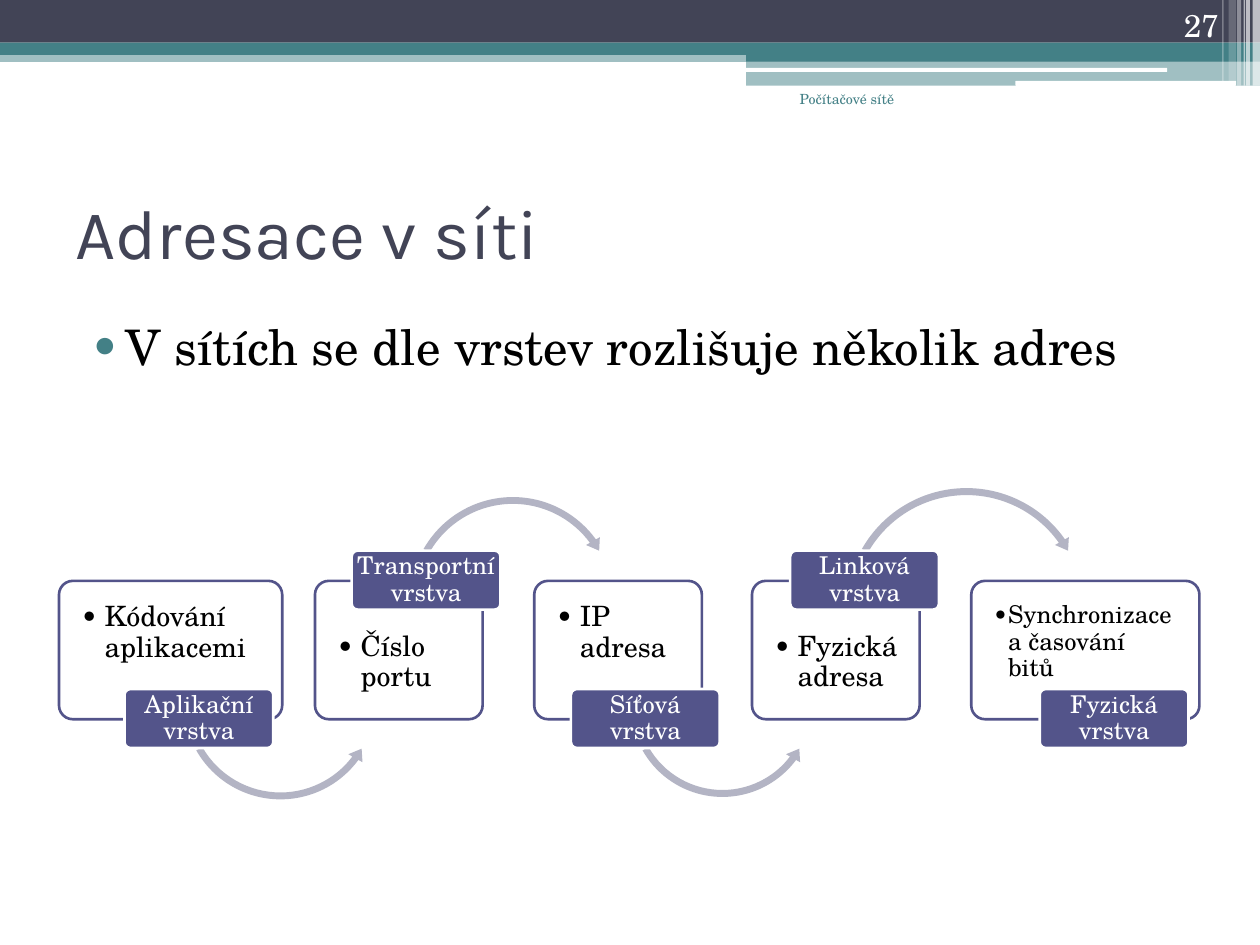
"""Build the slide on network addressing by layer."""
import lxml.etree
import pptx
import pptx.dml.color
import pptx.enum.shapes
import pptx.enum.text
import pptx.oxml.ns
import pptx.util

Cm = pptx.util.Cm
SHAPE = pptx.enum.shapes.MSO_SHAPE
ALIGN = pptx.enum.text.PP_ALIGN
ANCHOR = pptx.enum.text.MSO_ANCHOR
rgb = pptx.dml.color.RGBColor.from_string
qn = pptx.oxml.ns.qn
SERIF = "TeX Gyre Schola"
DARK, TEAL, WHITE, INDIGO, GREY = "424456", "438086", "FFFFFF", "53548A", "B3B4C4"


def add(kind, box, fill, alpha=100, line=None, adj=()):
    sp = s.shapes.add_shape(kind, *[Cm(v) for v in box])
    sp.shadow.inherit = False
    sp.fill.solid()
    sp.fill.fore_color.rgb = rgb(fill)
    if alpha < 100:
        clr = sp.fill._xPr.find(".//" + qn("a:srgbClr"))
        lxml.etree.SubElement(clr, qn("a:alpha"), val=str(alpha * 1000))
    if line:
        sp.line.color.rgb = rgb(line)
        sp.line.width = pptx.util.Pt(1.5)
    else:
        sp.line.fill.background()
    for i, value in enumerate(adj):
        sp.adjustments[i] = value
    return sp


def write(sp, text, size, color, font=SERIF, align=ALIGN.LEFT, anchor=ANCHOR.TOP,
          insets=(0.25, 0.13, 0.25, 0.13), spacing=None, before=0, indent=0, bullet=None):
    tf = sp.text_frame
    tf.word_wrap = True
    tf.vertical_anchor = anchor
    tf.margin_left, tf.margin_top, tf.margin_right, tf.margin_bottom = [Cm(v) for v in insets]
    p = tf.paragraphs[0]
    p.alignment = align
    p.space_before = pptx.util.Pt(before)
    if spacing:
        p.line_spacing = spacing
    r = p.add_run()
    r.text = text
    r.font.name = font
    r.font.size = pptx.util.Pt(size)
    r.font.color.rgb = rgb(color)
    if bullet:
        pPr = p._p.get_or_add_pPr()
        pPr.set("marL", str(Cm(indent[0])))
        pPr.set("indent", str(Cm(indent[1])))
        clr = lxml.etree.SubElement(pPr, qn("a:buClr"))
        lxml.etree.SubElement(clr, qn("a:srgbClr"), val=bullet)
        lxml.etree.SubElement(pPr, qn("a:buFont"), typeface=SERIF)
        lxml.etree.SubElement(pPr, qn("a:buChar"), char="•")


prs = pptx.Presentation()
prs.slide_width, prs.slide_height = Cm(25.4), Cm(19.05)
s = prs.slides.add_slide(prs.slide_layouts[5])

bands = [
    (0, 1.02, 25.4, 0.23, TEAL, 50),
    (0, 0, 25.4, 0.86, DARK, 100),
    (0, 0.86, 25.4, 0.25, TEAL, 100),
    (15.04, 0.99, 10.36, 0.25, TEAL, 100),
    (15.04, 1.22, 10.36, 0.51, TEAL, 50),
]
for *box, color, alpha in bands:
    add(SHAPE.RECTANGLE, box, color, alpha)
for box in [(15.02, 1.37, 8.51, 0.08), (20.47, 1.63, 4.45, 0.1)]:
    add(SHAPE.ROUNDED_RECTANGLE, box, WHITE)

stripes = [
    (25.25, 0.15, 1.73, 65), (25.12, 0.08, 1.73, 65), (25.07, 0.03, 1.73, 60),
    (24.94, 0.08, 1.73, 40), (24.77, 0.15, 1.63, 20), (24.64, 0.03, 1.63, 30),
]
for x, w, h, alpha in stripes:
    add(SHAPE.RECTANGLE, (x, 0, w, h), WHITE, alpha)

title = s.shapes.title
title.left, title.top, title.width, title.height = Cm(1.27), Cm(3.18), Cm(22.86), Cm(2.97)
write(title, "Adresace v síti", 40, DARK, font="Karla", anchor=ANCHOR.MIDDLE)

body = s.shapes.add_textbox(Cm(1.27), Cm(6.25), Cm(22.86), Cm(2.87))
write(body, "V sítích se dle vrstev rozlišuje několik adres", 28, "000000",
      before=3, indent=(1.02, -0.71), bullet=TEAL)
footer = s.shapes.add_textbox(Cm(14.6), Cm(1.7), Cm(3.68), Cm(1.27))
write(footer, "Počítačové sítě", 8, TEAL, align=ALIGN.RIGHT)
number = s.shapes.add_textbox(Cm(22.71), Cm(0), Cm(2.11), Cm(1.02))
write(number, "27", 18, WHITE, align=ALIGN.RIGHT, anchor=ANCHOR.BOTTOM)

left_arrow, right_arrow = SHAPE.LEFT_CIRCULAR_ARROW, SHAPE.CIRCULAR_ARROW
layers = [
    ("Aplikační vrstva", "Kódování aplikacemi", 16, 1.19, 4.5, 2.51,
     (left_arrow, 3.61, 12.12, 4.09, (0.034, 4.191, 21.946, 90.245, 0.04))),
    ("Transportní vrstva", "Číslo portu", 16, 6.35, 3.38, 7.09,
     (right_arrow, 8.18, 9.93, 4.32, (0.032, 3.953, 194.292, 125.755, 0.037))),
    ("Síťová vrstva", "IP adresa", 16, 10.77, 3.38, 11.51,
     (left_arrow, 12.62, 12.27, 3.89, (0.036, 4.43, 22.185, 90.245, 0.042))),
    ("Linková vrstva", "Fyzická adresa", 16, 15.16, 3.38, 15.93,
     (right_arrow, 16.97, 9.75, 5.03, (0.028, 3.362, 194.883, 125.755, 0.032))),
    ("Fyzická vrstva", "Synchronizace a časování bitů", 14, 19.58, 4.6, 20.96, None),
]
for i, (layer, address, size, x, w, label_x, arrow) in enumerate(layers):
    label_on_top = i % 2 == 1
    card = add(SHAPE.ROUNDED_RECTANGLE, (x, 11.71, w, 2.79), WHITE, 90, INDIGO, (0.1,))
    hang = 0.48 if size == 16 else 0.3
    write(card, address, size, "000000", spacing=0.9, indent=(hang, -hang), bullet="000000",
          insets=(0.36, 0.96 if label_on_top else 0.36, 0.36, 0.36))
    if arrow:
        kind, arrow_x, arrow_y, side, adj = arrow
        add(kind, (arrow_x, arrow_y, side, side), GREY, adj=adj)
    label = add(SHAPE.ROUNDED_RECTANGLE, (label_x, 11.1 if label_on_top else 13.89, 3, 1.19),
                INDIGO, line=WHITE, adj=(0.1,))
    write(label, layer, 14, WHITE, align=ALIGN.CENTER, anchor=ANCHOR.MIDDLE,
          insets=(0.05, 0.05, 0.05, 0.05), spacing=0.9)

prs.save("out.pptx")
